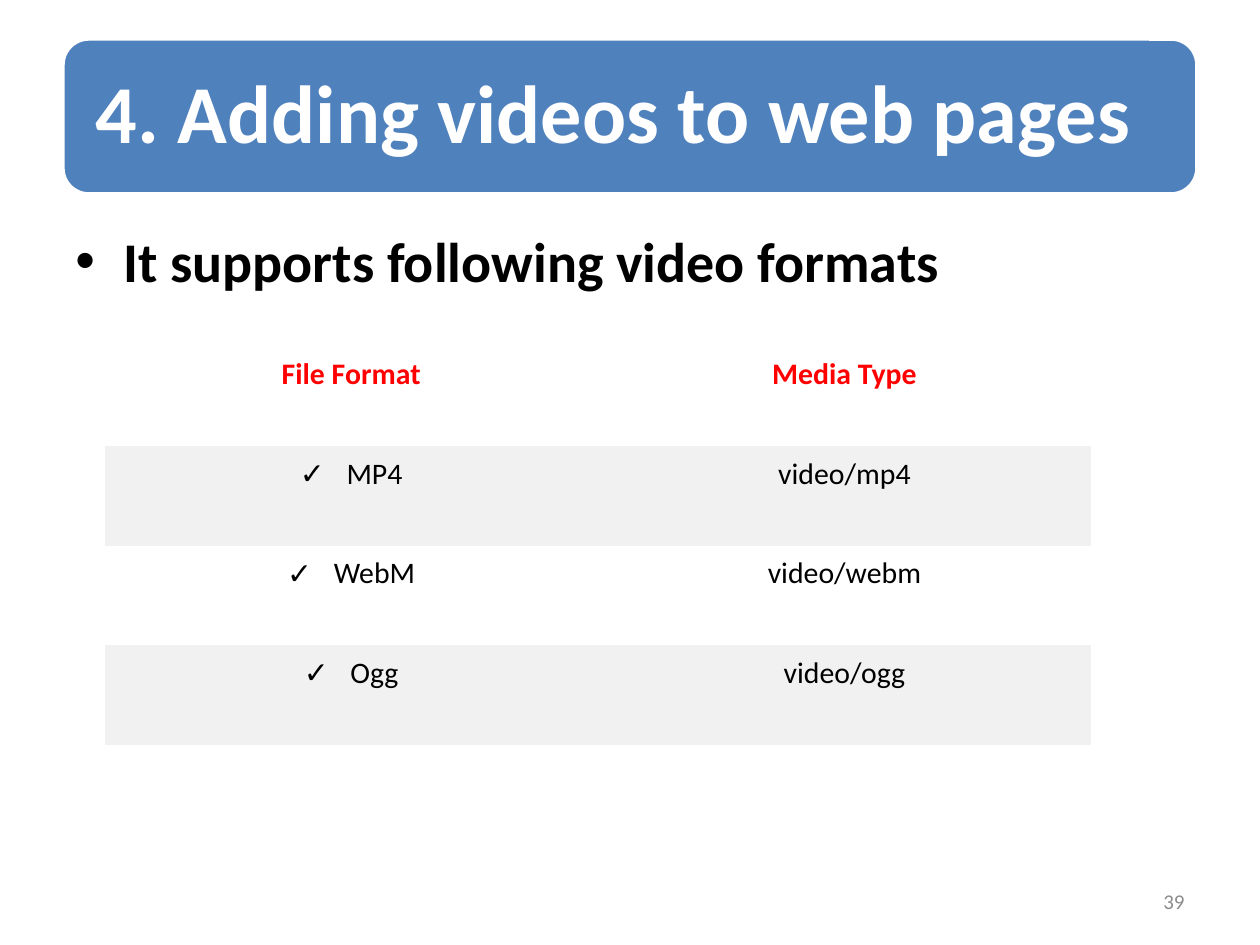
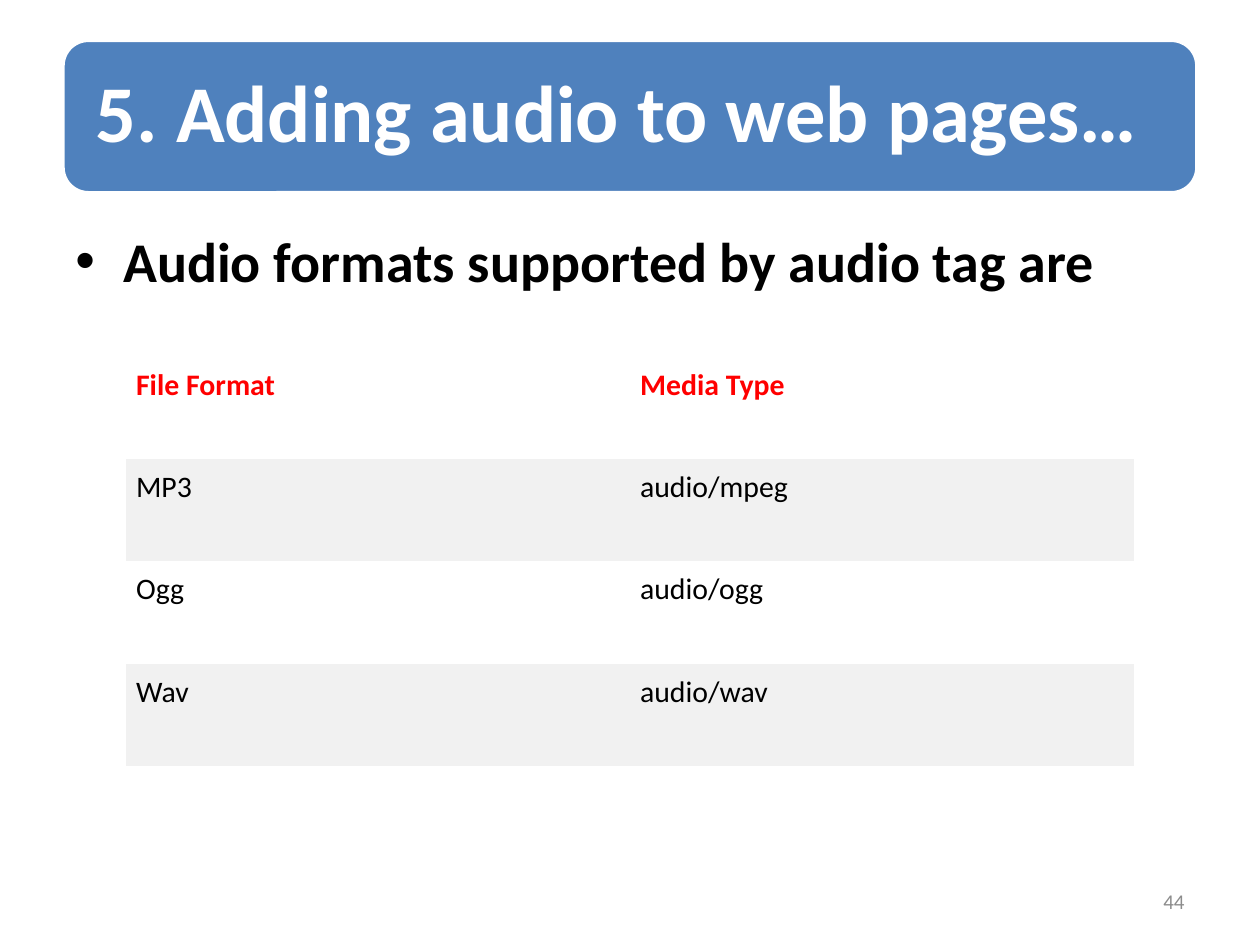
from lxml import etree
from pptx import Presentation
from pptx.dml.color import RGBColor
from pptx.enum.shapes import MSO_SHAPE as Shape
from pptx.enum.text import MSO_ANCHOR as Anchor, PP_ALIGN as Align
from pptx.oxml.ns import qn
from pptx.util import Inches, Pt

HUES = {"band": "4F81BD", "white": "FFFFFF", "black": "000000",
        "head": "FF0000", "stripe": "F1F1F1", "page": "8C8C8C"}
FONT = "Calibri"
NO_STYLE = "{2D5ABB26-0587-4C30-8999-92F81FD0307C}"

PAGES = [
    {"title": "4. Adding videos to web pages", "size": 47,
     "band": (0.31, 1.23), "number": "39",
     "point": "It supports following video formats",
     "spot": (0.83, 2.75, 7.83, 3.16), "align": Align.CENTER, "check": True,
     "rows": [("File Format", "Media Type"), ("MP4", "video/mp4"),
              ("WebM", "video/webm"), ("Ogg", "video/ogg")]},
    {"title": "5. Adding audio to web pages…", "size": 46,
     "band": (0.32, 1.21), "number": "44",
     "point": "Audio formats supported by audio tag are",
     "spot": (1, 2.83, 8, 3.25), "align": Align.LEFT, "check": False,
     "rows": [("File Format", "Media Type"), ("MP3", "audio/mpeg"),
              ("Ogg", "audio/ogg"), ("Wav", "audio/wav")]},
]


def write(frame, text, size, hue, bold=False, align=Align.LEFT):
    """Add one styled run to the first paragraph and return the paragraph."""
    para = frame.paragraphs[0]
    para.alignment = align
    run = para.add_run()
    run.text = text
    font = run.font
    font.name, font.size, font.bold = FONT, Pt(size), bold
    font.color.rgb = RGBColor.from_string(HUES[hue])
    return para


def mark(para, sign, indent):
    """Give the paragraph a bullet with a hanging indent."""
    props = para._p.get_or_add_pPr()
    props.set("marL", str(Inches(indent)))
    props.set("indent", str(-Inches(indent)))
    etree.SubElement(props, qn("a:buFont")).set("typeface", "Arial")
    etree.SubElement(props, qn("a:buChar")).set("char", sign)


deck = Presentation()
deck.slide_width, deck.slide_height = Inches(10), Inches(7.5)

for page in PAGES:
    slide = deck.slides.add_slide(deck.slide_layouts[6])

    # Title band
    top, height = page["band"]
    band = slide.shapes.add_shape(Shape.ROUNDED_RECTANGLE, Inches(0.5),
                                  Inches(top), Inches(9), Inches(height))
    band.shadow.inherit = False
    band.fill.solid()
    band.fill.fore_color.rgb = RGBColor.from_string(HUES["band"])
    band.line.color.rgb = RGBColor.from_string(HUES["white"])
    band.line.width = Pt(2)
    frame = band.text_frame
    frame.margin_left = frame.margin_right = Inches(0.2)
    frame.vertical_anchor = Anchor.MIDDLE
    para = write(frame, page["title"], page["size"], "white", True)
    para.line_spacing = 0.9

    # Main point
    body = slide.shapes.add_textbox(Inches(0.5), Inches(1.75),
                                    Inches(9), Inches(4.95))
    body.text_frame.word_wrap = True
    para = write(body.text_frame, page["point"], 32, "black", True)
    para.space_before = Pt(6.4)
    mark(para, "•", 0.38)

    # Slide number
    foot = slide.shapes.add_textbox(Inches(7.17), Inches(6.95),
                                    Inches(2.33), Inches(0.4))
    foot.text_frame.word_wrap = True
    foot.text_frame.vertical_anchor = Anchor.MIDDLE
    write(foot.text_frame, page["number"], 12, "page", align=Align.RIGHT)

    # Format table
    rows = page["rows"]
    spot = [Inches(n) for n in page["spot"]]
    frame = slide.shapes.add_table(len(rows), 2, *spot)
    table = frame.table
    table._tbl.tblPr.find(qn("a:tableStyleId")).text = NO_STYLE
    for r, row in enumerate(rows):
        for c, text in enumerate(row):
            cell = table.cell(r, c)
            cell.fill.solid()
            hue = "stripe" if r % 2 else "white"
            cell.fill.fore_color.rgb = RGBColor.from_string(HUES[hue])
            cell.margin_left = cell.margin_right = Inches(0.08)
            cell.margin_top = cell.margin_bottom = Inches(0.08)
            para = write(cell.text_frame, text, 17,
                         "black" if r else "head", r == 0, page["align"])
            if page["check"] and r and c == 0:
                mark(para, "✓", 0.37)

deck.save("out.pptx")
